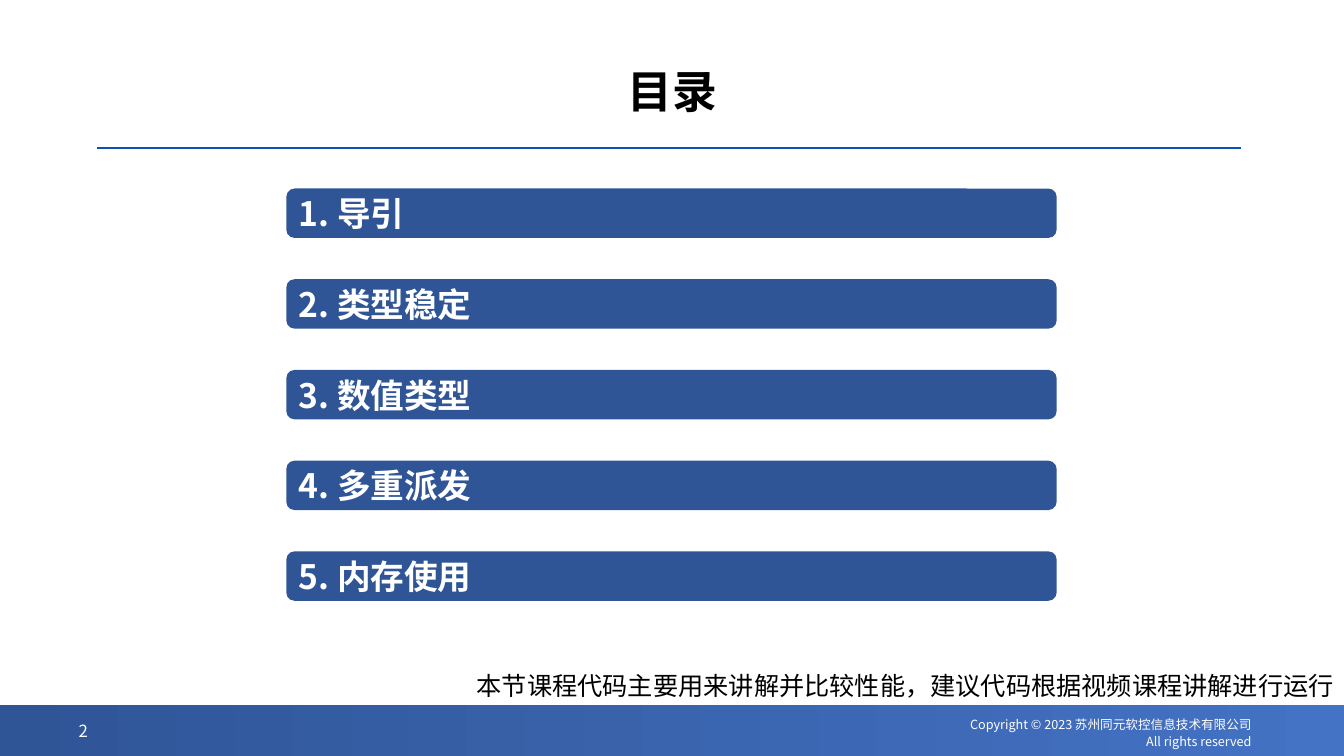
"""Build the table-of-contents slide of a course on code performance."""
from lxml import etree
from pptx import Presentation
from pptx.dml.color import RGBColor
from pptx.enum import shapes, text
from pptx.oxml.ns import qn
from pptx.util import Inches, Pt

FONT = "Noto Sans CJK SC"
NAVY, BLUE, RULE, WHITE, BLACK = "2F5597", "4472C4", "0B51B5", "FFFFFF", "000000"
TOPICS = ["导引", "类型稳定", "数值类型", "多重派发", "内存使用"]
LEFT, CENTER, RIGHT = text.PP_ALIGN.LEFT, text.PP_ALIGN.CENTER, text.PP_ALIGN.RIGHT


def color(value):
    return RGBColor.from_string(value)


def write(shape, lines, size, fill, align=LEFT, bold=False, spacing=1.0, wrap=True,
          anchor=text.MSO_ANCHOR.MIDDLE):
    frame = shape.text_frame
    frame.text = "\n".join(lines)
    frame.word_wrap = wrap
    frame.vertical_anchor = anchor
    for paragraph in frame.paragraphs:
        paragraph.alignment = align
        paragraph.line_spacing = spacing
        font = paragraph.font
        font.name, font.size, font.bold = FONT, Pt(size), bold
        font.color.rgb = color(fill)
        defaults = paragraph._p.pPr.find(qn("a:defRPr"))
        defaults.find(qn("a:latin")).addnext(
            etree.Element(qn("a:ea"), typeface=FONT))


presentation = Presentation()
presentation.slide_width, presentation.slide_height = Inches(13.33), Inches(7.5)
slide = presentation.slides.add_slide(presentation.slide_layouts[5])

footer = slide.shapes.add_shape(shapes.MSO_SHAPE.RECTANGLE, Inches(0), Inches(6.99),
                                Inches(13.33), Inches(0.51))
footer.shadow.inherit = False
footer.line.fill.background()
footer.fill.gradient()
footer.fill.gradient_angle = 0
for stop, shade in zip(footer.fill.gradient_stops, (NAVY, BLUE)):
    stop.color.rgb = color(shade)

rule = slide.shapes.add_connector(shapes.MSO_CONNECTOR.STRAIGHT, Inches(0.96),
                                  Inches(1.47), Inches(12.31), Inches(1.47))
rule.line.color.rgb = color(RULE)
rule.line.width = Pt(1.5)
etree.SubElement(rule._element.spPr, qn("a:effectLst"))

title = slide.shapes.title
title.left, title.top = Inches(4.31), Inches(0.45)
title.width, title.height = Inches(4.72), Inches(0.96)
write(title, ["目录"], 32, BLACK, CENTER, bold=True, spacing=0.9)

for index, topic in enumerate(TOPICS):
    bar = slide.shapes.add_shape(shapes.MSO_SHAPE.ROUNDED_RECTANGLE, Inches(2.84),
                                 Inches(1.87 + 0.9 * index), Inches(7.64), Inches(0.49))
    bar.shadow.inherit = False
    bar.fill.solid()
    bar.fill.fore_color.rgb = color(NAVY)
    bar.line.fill.background()
    write(bar, [f"{index + 1}. {topic}"], 24, WHITE, bold=True)

page_number = slide.shapes.add_textbox(Inches(0.37), Inches(7.05), Inches(0.91), Inches(0.4))
write(page_number, ["2"], 12, WHITE, CENTER)

copyright_box = slide.shapes.add_textbox(Inches(9.42), Inches(7.05), Inches(3.09), Inches(0.42))
write(copyright_box, ["Copyright © 2023 苏州同元软控信息技术有限公司", "All rights reserved"],
      9, WHITE, RIGHT, spacing=1.1, wrap=False, anchor=text.MSO_ANCHOR.TOP)

note = slide.shapes.add_textbox(Inches(4.63), Inches(6.6), Inches(8.78), Inches(0.4))
write(note, ["本节课程代码主要用来讲解并比较性能，建议代码根据视频课程讲解进行运行"],
      18, BLACK, wrap=False, anchor=text.MSO_ANCHOR.TOP)

presentation.save("out.pptx")
